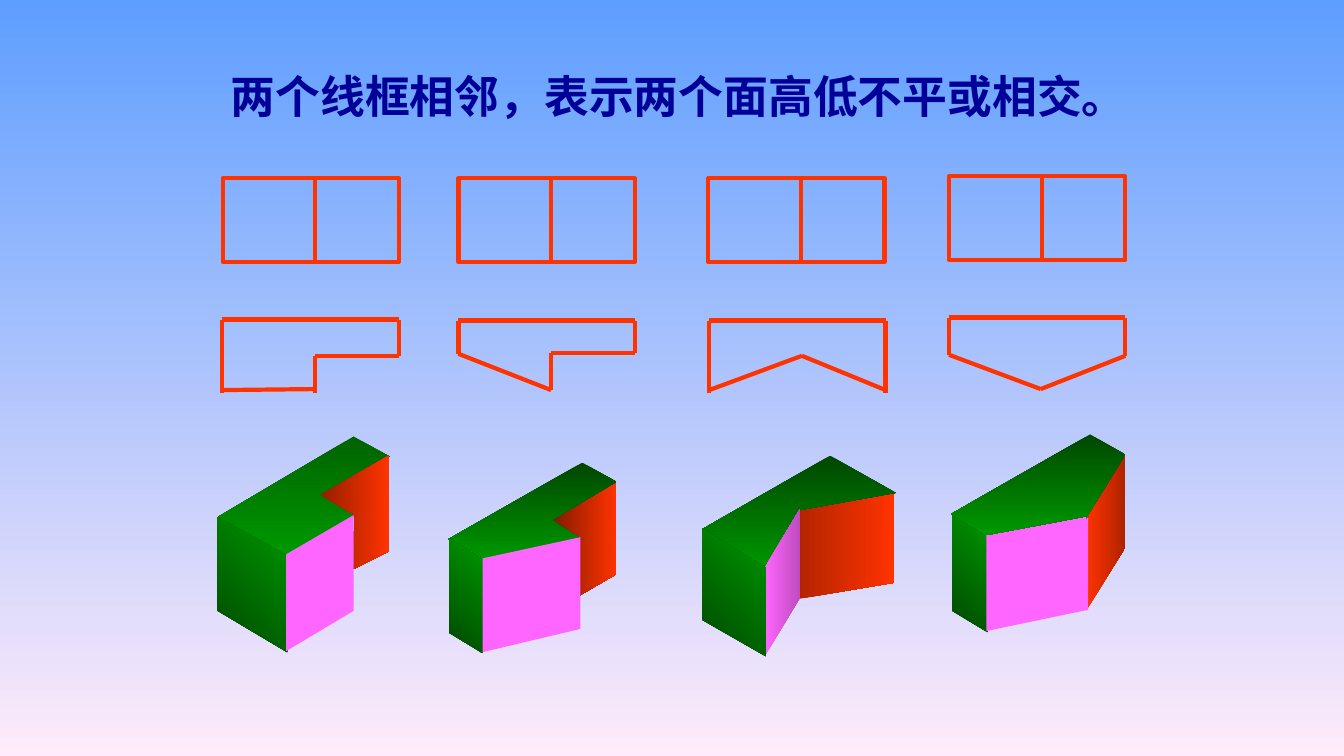
"""Build the slide showing how adjacent line frames stand for stepped or intersecting faces."""
import itertools

import pptx
import pptx.dml.color
import pptx.enum.shapes
import pptx.enum.text
import pptx.oxml
import pptx.oxml.ns
import pptx.util

Inches = pptx.util.Inches

COLORS = {
    "sky": "5E9EFF", "blush": "FFEBFA", "title": "000099", "outline": "FF3300",
    "pink": "FF66FF", "plum": "BE4CBE", "green": "009900", "forest": "004700",
    "moss": "006300", "red": "FF3300", "brick": "AF2300", "rust": "B42400",
    "maroon": "961E00", "umber": "761800",
}
TOP = ("forest", "green", 90)
SIDE = ("forest", "green", 315)

FRONT_VIEWS = [(2.21, 1.77), (4.55, 1.77), (7.03, 1.77), (9.42, 1.75)]
FRAME_WIDTH, FRAME_HEIGHT, DIVIDER_OFFSET = 1.75, 0.83, 0.92

PLAN_VIEWS = [
    [(2.2, 3.9), (2.2, 3.17), (3.96, 3.17), (3.96, 3.53), (3.13, 3.53), (3.13, 3.9)],
    [(2.21, 3.87), (3.13, 3.86)],
    [(4.55, 3.51), (4.55, 3.18), (6.3, 3.18), (6.3, 3.5), (5.47, 3.5), (5.47, 3.87),
     (4.55, 3.51)],
    [(7.04, 3.9), (7.04, 3.18), (8.79, 3.18), (8.79, 3.9)],
    [(7.04, 3.87), (7.96, 3.53), (8.79, 3.87)],
    [(9.42, 3.52), (9.42, 3.15), (11.17, 3.15), (11.17, 3.53), (10.33, 3.86), (9.42, 3.52)],
]

SOLID_FACES = [
    (("moss", "green", 90),
     [(2.16, 5.13), (3.51, 4.33), (3.87, 4.53), (3.2, 4.92), (3.55, 5.1), (2.84, 5.52)]),
    (SIDE, [(2.16, 5.13), (2.16, 6.06), (2.85, 6.47), (2.85, 5.51)]),
    (("maroon", "red", 0),
     [(3.86, 4.52), (3.18, 4.91), (3.52, 5.11), (3.5, 5.65), (3.86, 5.47)]),
    ("pink", [(2.84, 5.5), (2.84, 6.46), (3.51, 6.06), (3.51, 5.11)]),
    (("umber", "red", 0),
     [(5.43, 5.14), (6.12, 4.77), (6.11, 5.7), (5.75, 5.91), (5.75, 5.36)]),
    (TOP, [(4.45, 5.35), (4.77, 5.56), (5.77, 5.35), (5.48, 5.16), (6.12, 4.78), (5.78, 4.59)]),
    (SIDE, [(4.46, 5.34), (4.46, 6.28), (4.79, 6.48), (4.79, 5.55)]),
    ("pink", [(4.79, 5.54), (4.79, 6.47), (5.76, 6.24), (5.76, 5.33)]),
    (("rust", "red", 0), [(7.93, 5.05), (8.88, 4.89), (8.88, 5.78), (7.93, 5.94)]),
    (TOP, [(6.97, 5.25), (7.56, 5.67), (7.94, 5.06), (8.89, 4.89), (8.24, 4.52)]),
    (("pink", "plum", 0), [(7.94, 5.05), (7.59, 5.63), (7.59, 6.51), (7.94, 5.93)]),
    (SIDE, [(6.97, 5.24), (7.6, 5.63), (7.6, 6.51), (6.97, 6.15)]),
    (("red", "brick", 0),
     [(10.85, 4.81), (11.17, 4.5), (11.17, 5.43), (10.78, 6.06), (10.79, 5.11)]),
    (SIDE, [(9.45, 5.09), (9.45, 6.06), (9.8, 6.27), (9.8, 5.31)]),
    ("pink", [(9.79, 5.3), (9.79, 6.26), (10.8, 6.05), (10.8, 5.12)]),
    (TOP, [(9.44, 5.1), (9.79, 5.31), (10.8, 5.12), (10.78, 5.14), (11.17, 4.51), (10.82, 4.31)]),
]


def color(name):
    """Return the named colour."""
    return pptx.dml.color.RGBColor.from_string(COLORS[name])


def paint(fill, style):
    """Fill with one colour name, or with a (start, end, clockwise angle) gradient."""
    if isinstance(style, str):
        fill.solid()
        fill.fore_color.rgb = color(style)
        return
    start, end, angle = style
    fill.gradient()
    fill.gradient_angle = (360 - angle) % 360
    for stop, name in zip(fill.gradient_stops, (start, end)):
        stop.color.rgb = color(name)


def style_outline(line):
    """Give a line the drawing's stroke."""
    line.color.rgb = color("outline")
    line.width = pptx.util.Pt(3)


def add_title(slide, text):
    """Place and format the slide title."""
    title = slide.shapes.title
    title.left, title.top = Inches(2.19), Inches(0.63)
    title.width, title.height = Inches(9.1), Inches(0.64)
    frame = title.text_frame
    frame.text = text
    frame.word_wrap = False
    frame.auto_size = pptx.enum.text.MSO_AUTO_SIZE.SHAPE_TO_FIT_TEXT
    frame.vertical_anchor = pptx.enum.text.MSO_ANCHOR.MIDDLE
    sentence = frame.paragraphs[0]
    sentence.alignment = pptx.enum.text.PP_ALIGN.LEFT
    sentence.font.name = "Times New Roman"
    sentence.font.size = pptx.util.Pt(32)
    sentence.font.bold = True
    sentence.font.color.rgb = color("title")


def add_polyline(slide, points):
    """Draw straight edges through the points."""
    for start, end in itertools.pairwise(points):
        edge = slide.shapes.add_connector(
            pptx.enum.shapes.MSO_CONNECTOR.STRAIGHT, *map(Inches, start + end))
        style_outline(edge.line)
        properties = edge._element.spPr
        properties.append(pptx.oxml.parse_xml(
            f"<a:effectLst {pptx.oxml.ns.nsdecls('a')}/>"))


def add_front_view(slide, left, top):
    """Draw a frame split into two adjacent cells."""
    frame = slide.shapes.add_shape(
        pptx.enum.shapes.MSO_SHAPE.RECTANGLE,
        *map(Inches, (left, top, FRAME_WIDTH, FRAME_HEIGHT)))
    frame.shadow.inherit = False
    frame.fill.background()
    style_outline(frame.line)
    divider = left + DIVIDER_OFFSET
    add_polyline(slide, [(divider, top), (divider, top + FRAME_HEIGHT)])


def add_face(slide, style, points):
    """Draw one filled face of a solid."""
    corners = [(Inches(x), Inches(y)) for x, y in points]
    outline = slide.shapes.build_freeform(*corners[0])
    outline.add_line_segments(corners[1:], close=True)
    face = outline.convert_to_shape()
    face.shadow.inherit = False
    face.line.fill.background()
    paint(face.fill, style)


def main():
    """Build and save the slide."""
    presentation = pptx.Presentation()
    presentation.slide_width = Inches(13.34)
    presentation.slide_height = Inches(7.5)
    slide = presentation.slides.add_slide(presentation.slide_layouts.get_by_name("Title Only"))
    paint(slide.background.fill, ("sky", "blush", 90))
    add_title(slide, "两个线框相邻，表示两个面高低不平或相交。")
    for left, top in FRONT_VIEWS:
        add_front_view(slide, left, top)
    for points in PLAN_VIEWS:
        add_polyline(slide, points)
    for style, points in SOLID_FACES:
        add_face(slide, style, points)
    presentation.save("out.pptx")


if __name__ == "__main__":
    main()
